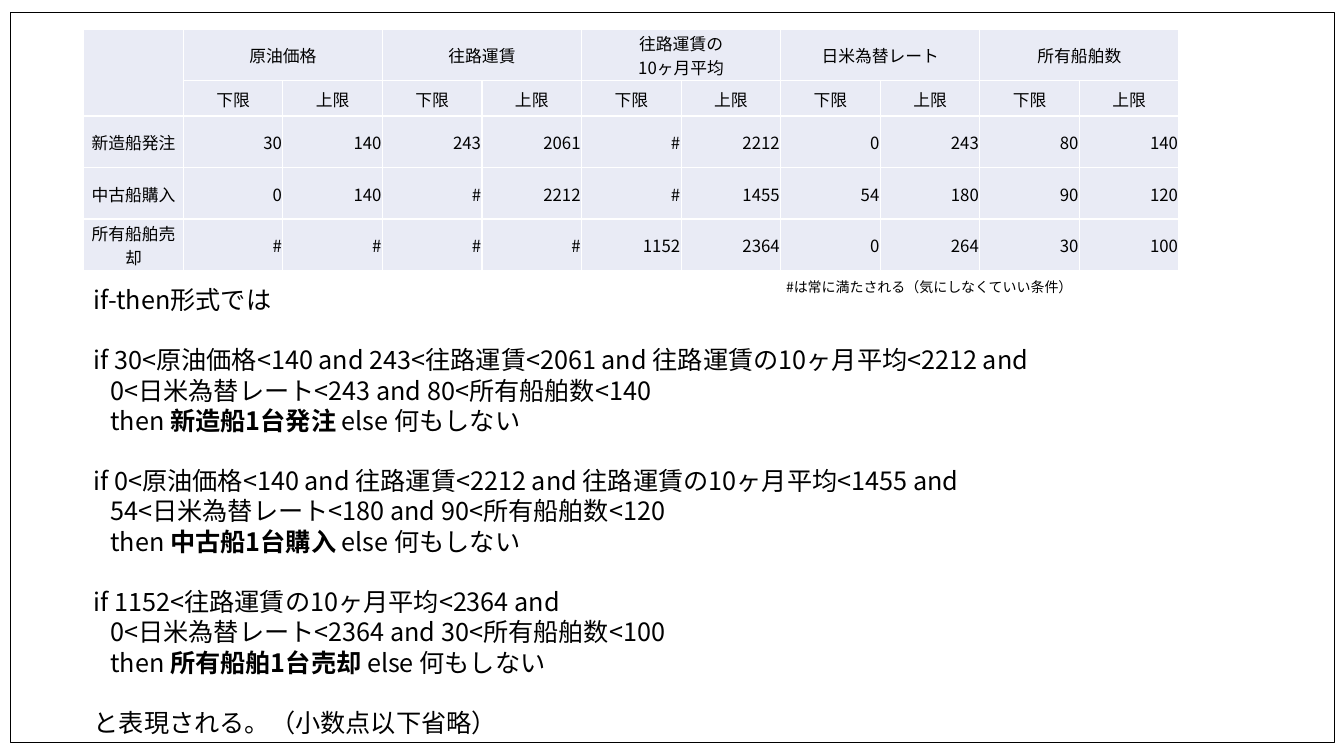
from pptx import Presentation
from pptx.dml.color import RGBColor
from pptx.enum.shapes import MSO_SHAPE as SHAPE
from pptx.enum.text import MSO_ANCHOR as ANCHOR, PP_ALIGN as ALIGN
from pptx.oxml import parse_xml
from pptx.oxml.ns import nsdecls
from pptx.util import Pt

COLORS = {"ink": "000000", "cell": "E9EBF5", "grid": "FFFFFF"}
FONT = "Noto Sans CJK JP"

FACTORS = ["原油価格", "往路運賃", "往路運賃の\n10ヶ月平均", "日米為替レート", "所有船舶数"]
LIMITS = ["下限", "上限"]
ACTIONS = {
    "新造船発注": [30, 140, 243, 2061, "#", 2212, 0, 243, 80, 140],
    "中古船購入": [0, 140, "#", 2212, "#", 1455, 54, 180, 90, 120],
    "所有船舶売却": ["#", "#", "#", "#", 1152, 2364, 0, 264, 30, 100],
}
# Each rule: first condition line, second condition line, action
RULES = [
    ("if 30<原油価格<140 and 243<往路運賃<2061 and 往路運賃の10ヶ月平均<2212 and",
     "0<日米為替レート<243 and 80<所有船舶数<140", "新造船1台発注"),
    ("if 0<原油価格<140 and 往路運賃<2212 and 往路運賃の10ヶ月平均<1455 and",
     "54<日米為替レート<180 and 90<所有船舶数<120", "中古船1台購入"),
    ("if 1152<往路運賃の10ヶ月平均<2364 and",
     "0<日米為替レート<2364 and 30<所有船舶数<100", "所有船舶1台売却"),
]


def color(name):
    return RGBColor.from_string(COLORS[name])


def write(frame, text, size=18, align=ALIGN.LEFT, leading=None, before=0, indent=0):
    """Add one paragraph per line; parts between * marks are bold."""
    for line in text.split("\n"):
        paragraph = frame.paragraphs[0]
        if paragraph.runs:
            paragraph = frame.add_paragraph()
        paragraph.alignment = align
        paragraph.space_before = Pt(before)
        if leading:
            paragraph.line_spacing = Pt(leading)
        if indent:
            paragraph._p.get_or_add_pPr().set("marL", str(Pt(indent)))
        for index, part in enumerate(line.split("*")):
            run = paragraph.add_run()
            run.text = part
            run.font.size = Pt(size)
            run.font.bold = index % 2 == 1
            run.font.name = FONT
            run.font.color.rgb = color("ink")
            run._r.get_or_add_rPr().append(
                parse_xml(f'<a:ea {nsdecls("a")} typeface="{FONT}"/>'))


def text_area(slide, box):
    frame = slide.shapes.add_textbox(*map(Pt, box)).text_frame
    frame.word_wrap = True
    return frame


def add_frame(slide, box):
    border = slide.shapes.add_shape(SHAPE.RECTANGLE, *map(Pt, box))
    border.shadow.inherit = False
    border.fill.background()
    border.line.color.rgb = color("ink")
    border.line.width = Pt(0.75)


def style_cell(cell):
    cell.margin_left = cell.margin_right = cell.margin_top = Pt(0.7)
    cell.margin_bottom = 0
    cell.vertical_anchor = ANCHOR.MIDDLE
    for side in ("lnL", "lnR", "lnT", "lnB"):
        cell._tc.get_or_add_tcPr().append(parse_xml(
            f'<a:{side} {nsdecls("a")} w="{Pt(1)}"><a:solidFill>'
            f'<a:srgbClr val="{COLORS["grid"]}"/></a:solidFill></a:{side}>'))
    cell.fill.solid()
    cell.fill.fore_color.rgb = color("cell")


def add_limits_table(slide, box):
    row_heights = [36.8, 25.2] + [36.8] * len(ACTIONS)
    column_count = 1 + len(FACTORS) * len(LIMITS)
    limits = slide.shapes.add_table(
        len(row_heights), column_count, *map(Pt, box)).table
    limits.first_row = limits.horz_banding = False
    for column in limits.columns:
        column.width = Pt(box[2] / column_count)
    for row, height in zip(limits.rows, row_heights):
        row.height = Pt(height)
    for cell in limits.iter_cells():
        style_cell(cell)

    def put(row, column, text, align=ALIGN.CENTER):
        write(limits.cell(row, column).text_frame, str(text), size=12, align=align)

    # Two header rows
    limits.cell(0, 0).merge(limits.cell(1, 0))
    for index, factor in enumerate(FACTORS):
        first = 1 + index * len(LIMITS)
        limits.cell(0, first).merge(limits.cell(0, first + 1))
        put(0, first, factor)
        for offset, limit in enumerate(LIMITS):
            put(1, first + offset, limit)
    # One row per action
    for row, (action, values) in enumerate(ACTIONS.items(), start=2):
        put(row, 0, action)
        for column, value in enumerate(values, start=1):
            put(row, column, value, ALIGN.RIGHT)


def add_note(slide, box):
    write(text_area(slide, box), "#は常に満たされる（気にしなくていい条件）",
          size=10, leading=12)


def add_rules(slide, box):
    leading = 21.6
    rules = text_area(slide, box)
    write(rules, "if-then形式では", leading=leading)
    for opening, conditions, action in RULES:
        write(rules, opening, leading=leading, before=leading)
        write(rules, f"{conditions}\nthen *{action}* else 何もしない",
              leading=leading, indent=12)
    write(rules, "と表現される。（小数点以下省略）", leading=leading, before=leading)


deck = Presentation()
deck.slide_width, deck.slide_height = Pt(960), Pt(540)
slide = deck.slides.add_slide(deck.slide_layouts[6])
add_frame(slide, (7.2, 8.6, 946, 522))
add_note(slide, (554.4, 195.8, 240.5, 19.4))
add_rules(slide, (59.8, 199.4, 825, 334))
add_limits_table(slide, (59.8, 20.9, 782.6, 172.4))
deck.save("out.pptx")
